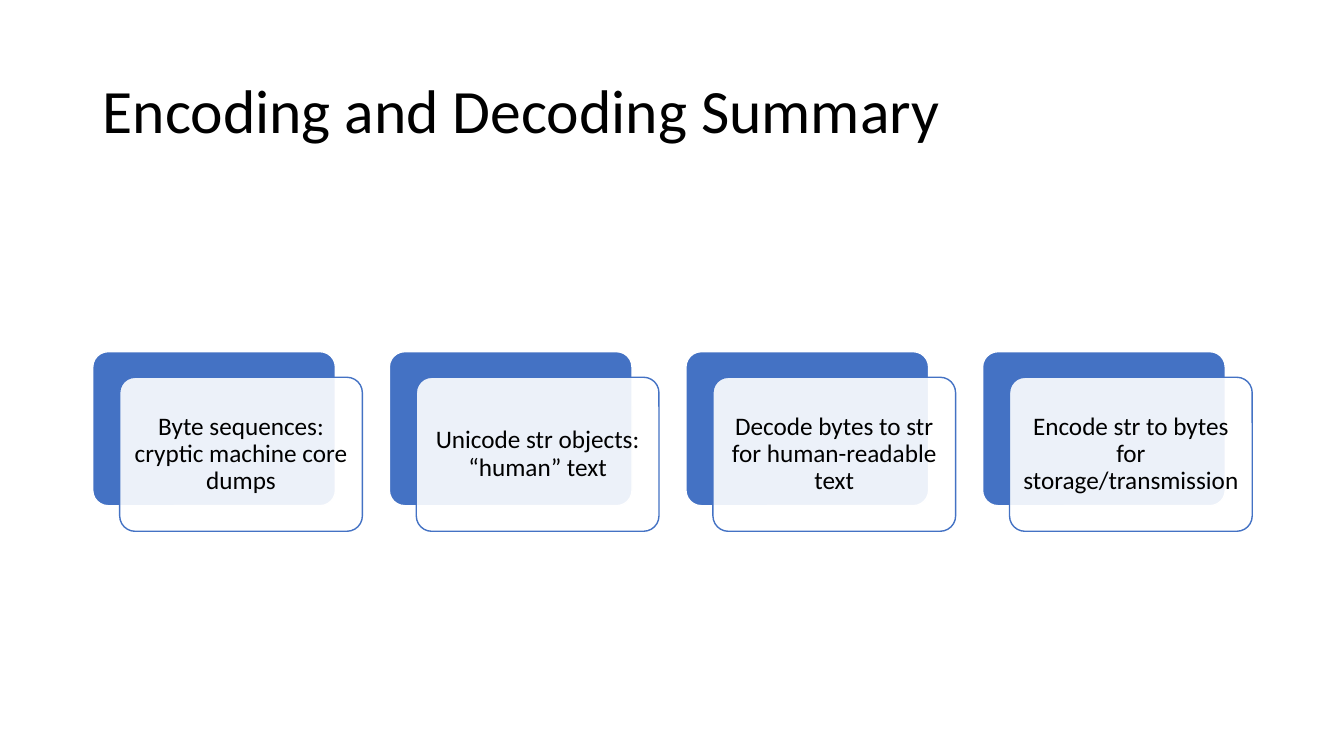
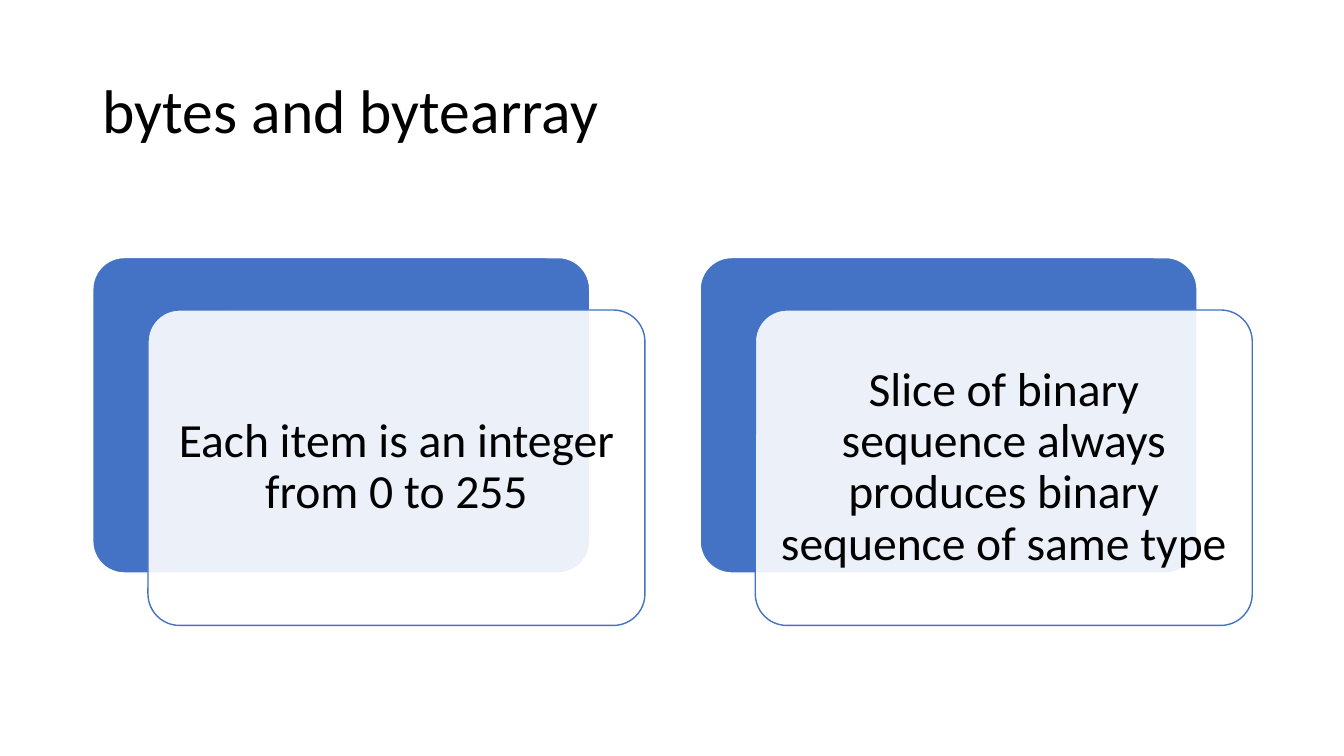
from lxml import etree
from pptx import Presentation
from pptx.dml.color import RGBColor
from pptx.enum.shapes import MSO_SHAPE
from pptx.enum.text import MSO_ANCHOR, PP_ALIGN
from pptx.oxml.ns import qn
from pptx.util import Inches, Pt

ROUND = MSO_SHAPE.ROUNDED_RECTANGLE
MIDDLE = MSO_ANCHOR.MIDDLE
LEFT, CENTER = PP_ALIGN.LEFT, PP_ALIGN.CENTER

BLUE = RGBColor(0x44, 0x72, 0xC4)
WHITE = RGBColor(0xFF, 0xFF, 0xFF)
BLACK = RGBColor(0, 0, 0)
FONT = "Calibri"

# Page grid, in inches
WIDE, HIGH = 13.33, 7.5
SIDE, SPAN = 0.92, 11.5
MID = 4.38  # height of the middle of the card row

# Card proportions, as shares of the card width
TALL = 0.635
SHIFT, DROP = 1 / 9, 0.1055
PITCH = 11 / 9
PAD = 0.0285

SLIDES = [
    ("Encoding and Decoding Summary", 18, [
        "Byte sequences: cryptic machine core dumps",
        "Unicode str objects: “human” text",
        "Decode bytes to str for human-readable text",
        "Encode str to bytes for storage/transmission",
    ]),
    ("bytes and bytearray", 34, [
        "Each item is an integer from 0 to 255",
        "Slice of binary sequence always produces binary sequence of same type",
    ]),
]


def apply(target, values):
    for name, value in values.items():
        setattr(target, name, value)


def write(shape, text, size, align, pad=None):
    frame = shape.text_frame
    apply(frame, {"word_wrap": True, "vertical_anchor": MIDDLE})
    if pad is not None:
        sides = ("left", "top", "right", "bottom")
        apply(frame, {f"margin_{side}": Inches(pad) for side in sides})
    para = frame.paragraphs[0]
    apply(para, {"text": text, "alignment": align, "line_spacing": 0.9})
    apply(para.font, {"name": FONT, "size": Pt(size)})
    para.font.color.rgb = BLACK


def add_title(slide, text):
    box = slide.shapes.add_textbox(*map(Inches, (SIDE, 0.4, SPAN, 1.45)))
    write(box, text, 44, LEFT)


def add_panel(slide, left, top, width, fill, edge, alpha=None):
    area = map(Inches, (left, top, width, width * TALL))
    panel = slide.shapes.add_shape(ROUND, *area)
    panel.adjustments[0] = 0.1
    panel.shadow.inherit = False
    panel.fill.solid()
    panel.fill.fore_color.rgb = fill
    panel.line.color.rgb = edge
    panel.line.width = Pt(1)
    if alpha is not None:
        color = panel._element.spPr.find(qn("a:solidFill"))[0]
        etree.SubElement(color, qn("a:alpha"), val=str(alpha * 1000))
    return panel


def add_cards(slide, texts, size):
    # The last card's front panel ends at the right margin
    width = SPAN / ((len(texts) - 1) * PITCH + 1 + SHIFT)
    top = MID - width * (TALL + DROP) / 2
    for col, text in enumerate(texts):
        left = SIDE + col * width * PITCH
        add_panel(slide, left, top, width, BLUE, WHITE)
        front = add_panel(slide, left + width * SHIFT, top + width * DROP,
                          width, WHITE, BLUE, alpha=90)
        write(front, text, size, CENTER, width * PAD)


def main():
    deck = Presentation()
    apply(deck, {"slide_width": Inches(WIDE), "slide_height": Inches(HIGH)})
    blank = deck.slide_layouts[6]
    for title, size, texts in SLIDES:
        slide = deck.slides.add_slide(blank)
        add_title(slide, title)
        add_cards(slide, texts, size)
    deck.save("out.pptx")


if __name__ == "__main__":
    main()
